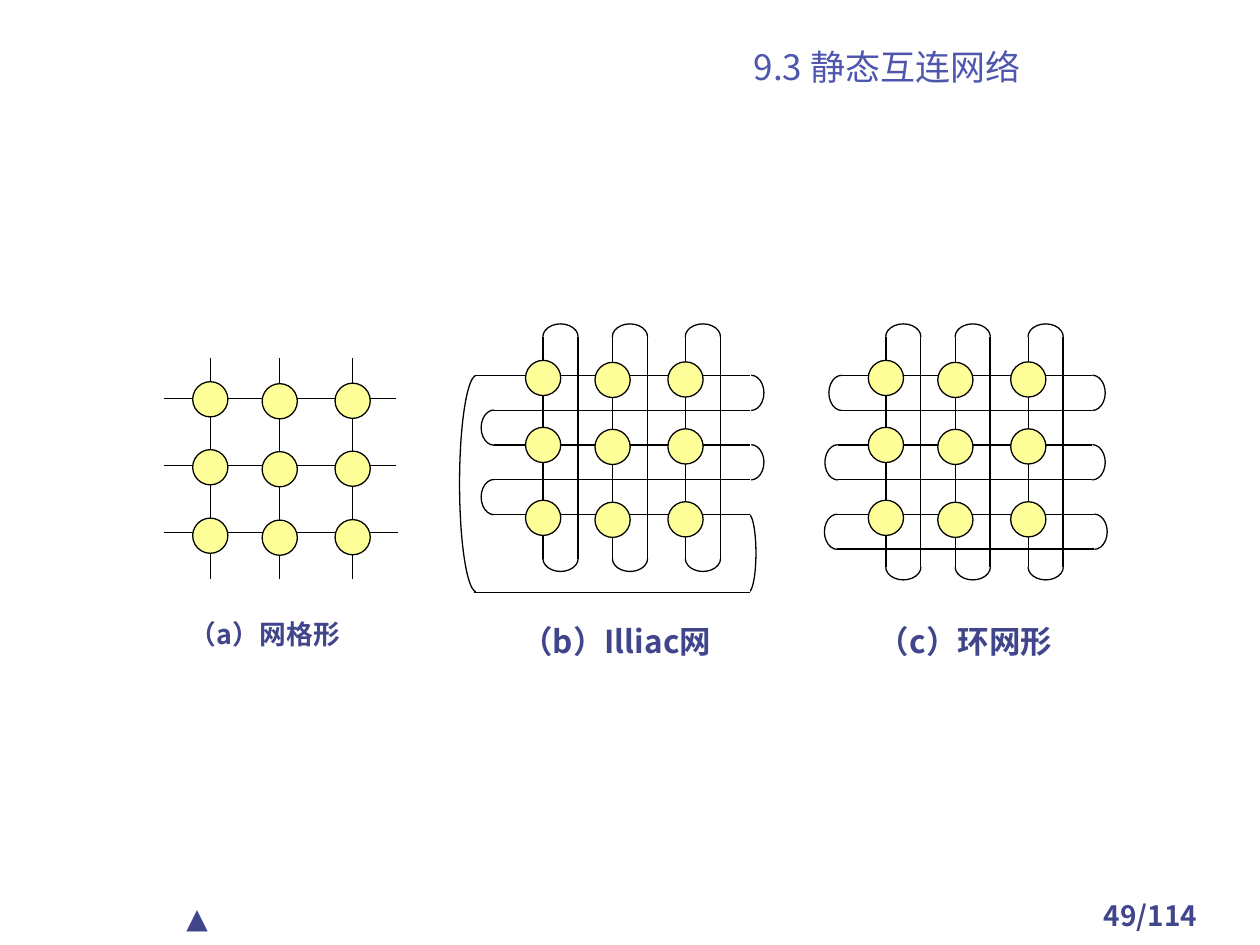
from dataclasses import dataclass
from math import cos, radians, sin

from lxml.etree import SubElement
from pptx import Presentation
from pptx.dml.color import RGBColor
from pptx.enum.shapes import MSO_CONNECTOR, MSO_SHAPE
from pptx.enum.text import MSO_ANCHOR, PP_ALIGN
from pptx.oxml.ns import qn
from pptx.util import Cm, Pt


@dataclass(frozen=True)
class Theme:
    """Colours, fonts and sizes of the slide."""
    paper: str = "FFFFFF"
    ink: str = "000000"
    node: str = "FFFF99"
    title: str = "4F56AD"
    label: str = "40458C"
    cjk: str = "Noto Sans CJK SC"
    latin: str = "Karla"
    title_size: float = 20
    caption_size: float = 18
    small_caption_size: float = 15.3
    footer_size: float = 16
    stroke: float = 0.74


THEME = Theme()
COLUMN_OFFSETS = (0, 1.40, 2.87)
COLUMN_DIPS = (0, 0.04, 0.03)
WRAPPED_ROWS = (7.62, 8.97, 10.44)
TRACKS = [7.57 + 0.7 * index for index in range(6)]
LOOP_TOP = 6.79
LOOP_SPAN = 0.7


def add_figure(slide, kind, center, size, fill, outlined=True, angle=0):
    """Add a filled preset shape around its centre."""
    (x, y), (width, height) = center, size
    figure = slide.shapes.add_shape(
        kind, Cm(x - width / 2), Cm(y - height / 2), Cm(width), Cm(height))
    figure.shadow.inherit = False
    figure.rotation = angle
    figure.fill.solid()
    figure.fill.fore_color.rgb = RGBColor.from_string(fill)
    if outlined:
        figure.line.color.rgb = RGBColor.from_string(THEME.ink)
        figure.line.width = Pt(THEME.stroke)
    else:
        figure.line.fill.background()


def add_half_ellipse(slide, center, size, mask_center, mask_size, angle=0):
    """Add an ellipse with its inner half covered."""
    add_figure(slide, MSO_SHAPE.OVAL, center, size, THEME.paper, angle=angle)
    add_figure(slide, MSO_SHAPE.RECTANGLE, mask_center, mask_size,
               THEME.paper, outlined=False, angle=angle)


def add_loop(slide, x, y, angle):
    """Add a wrap-around bend that bulges upwards, turned by the angle."""
    depth = 0.36
    turn = radians(angle)
    mask_center = (x - sin(turn) * depth / 2, y + cos(turn) * depth / 2)
    add_half_ellipse(slide, (x, y), (0.71, 0.52), mask_center, (0.82, depth), angle)


def add_wire(slide, start, end):
    """Add a thin straight wire."""
    wire = slide.shapes.add_connector(
        MSO_CONNECTOR.STRAIGHT, *(Cm(value) for value in (*start, *end)))
    wire.line.color.rgb = RGBColor.from_string(THEME.ink)
    wire.line.width = Pt(THEME.stroke)
    SubElement(wire.element.spPr, qn("a:effectLst"))


def add_nodes(slide, left, rows):
    """Add the three by three grid of nodes."""
    for y in rows:
        for offset, dip in zip(COLUMN_OFFSETS, COLUMN_DIPS):
            add_figure(slide, MSO_SHAPE.OVAL, (left + offset, y + dip),
                       (0.71, 0.71), THEME.node)


def add_column_loops(slide, left, bottom):
    """Add the bends and both wires of every wrapped column."""
    columns = [left + offset for offset in COLUMN_OFFSETS]
    for x in columns:
        add_loop(slide, x + LOOP_SPAN / 2, LOOP_TOP, 0)
        add_loop(slide, x + LOOP_SPAN / 2, bottom, 180)
    for x in columns:
        for wire_x in (x, x + LOOP_SPAN):
            add_wire(slide, (wire_x, LOOP_TOP), (wire_x, bottom))


def add_label(slide, words, box, size, color=THEME.label, font=THEME.cjk,
              bold=True, align=PP_ALIGN.JUSTIFY, inset=(0.25, 0.13),
              anchor=MSO_ANCHOR.TOP, spacing=None, before=0):
    """Add one line of text in a box."""
    label = slide.shapes.add_textbox(*(Cm(value) for value in box))
    frame = label.text_frame
    frame.word_wrap = True
    frame.vertical_anchor = anchor
    frame.margin_left = frame.margin_right = Cm(inset[0])
    frame.margin_top = frame.margin_bottom = Cm(inset[1])
    frame.text = words
    paragraph = frame.paragraphs[0]
    paragraph.alignment = align
    paragraph.space_before = Pt(before)
    paragraph.line_spacing = spacing
    run = paragraph.runs[0]
    run.font.size = Pt(size)
    run.font.bold = bold
    run.font.color.rgb = RGBColor.from_string(color)
    run.font.name = font
    SubElement(run.font._element, qn("a:ea"), typeface=font)


def add_mesh(slide):
    """Draw the open mesh with its caption."""
    left = 4.24
    for offset in COLUMN_OFFSETS:
        add_wire(slide, (left + offset, 7.21), (left + offset, 11.68))
    for y, right in ((8.03, 7.98), (9.39, 7.98), (10.73, 8.03)):
        add_wire(slide, (3.30, y), (right, y))
    add_nodes(slide, left, (8.05, 9.42, 10.80))
    add_label(slide, "（a）网格形", (3.58, 12.40, 5.11, 0.94),
              THEME.small_caption_size, spacing=0.9)


def add_illiac(slide):
    """Draw the Illiac network with its caption."""
    left, track_left, track_right, return_y = 10.95, 9.96, 15.11, 11.94
    add_half_ellipse(slide, (9.61, 9.75), (0.69, 4.37), (9.92, 9.66), (0.64, 4.55))
    add_half_ellipse(slide, (15.09, 11.15), (0.30, 1.57), (14.94, 11.11), (0.36, 1.65))
    for index in range(4):
        x, angle = ((15.14, 90), (track_left, 270))[index % 2]
        add_loop(slide, x, TRACKS[index] + LOOP_SPAN / 2, angle)
    add_column_loops(slide, left, 11.26)
    starts = (9.60, *[track_left] * 4)
    for start, y in zip(starts, TRACKS):
        add_wire(slide, (start, y), (track_right, y))
    add_wire(slide, (9.55, return_y), (track_right, return_y))
    add_nodes(slide, left, WRAPPED_ROWS)
    add_label(slide, "（b）Illiac网", (10.26, 12.40, 5.44, 1.14),
              THEME.caption_size)


def add_torus(slide):
    """Draw the torus with its caption."""
    left = 17.86
    row_ends = ((16.97, 22.02), (16.89, 22.02), (16.88, 22.06))
    for row, (start, end) in enumerate(row_ends):
        y = TRACKS[2 * row] + LOOP_SPAN / 2
        add_loop(slide, start, y, 270)
        add_loop(slide, end, y, 90)
    add_column_loops(slide, left, 11.43)
    for index, y in enumerate(TRACKS):
        start, end = row_ends[index // 2]
        add_wire(slide, (start, y), (end, y))
    add_nodes(slide, left, WRAPPED_ROWS)
    add_label(slide, "（c）环网形", (17.45, 12.40, 4.39, 1.14),
              THEME.caption_size)


def main():
    """Build and save the slide."""
    deck = Presentation()
    deck.slide_width, deck.slide_height = Cm(25.4), Cm(19.05)
    slide = deck.slides.add_slide(deck.slide_layouts[6])
    add_label(slide, "49/114", (21.39, 17.98, 3.61, 0.84), THEME.footer_size,
              align=PP_ALIGN.CENTER)
    add_label(slide, "▲", (3.51, 18.03, 3.61, 0.94), THEME.footer_size,
              font=THEME.latin, bold=False, align=PP_ALIGN.LEFT, before=10)
    add_label(slide, "9.3 静态互连网络", (10.80, 0.69, 14.17, 1.07),
              THEME.title_size, color=THEME.title, bold=False,
              align=PP_ALIGN.CENTER, inset=(0, 0), anchor=MSO_ANCHOR.BOTTOM)
    add_mesh(slide)
    add_illiac(slide)
    add_torus(slide)
    deck.save("out.pptx")


main()
